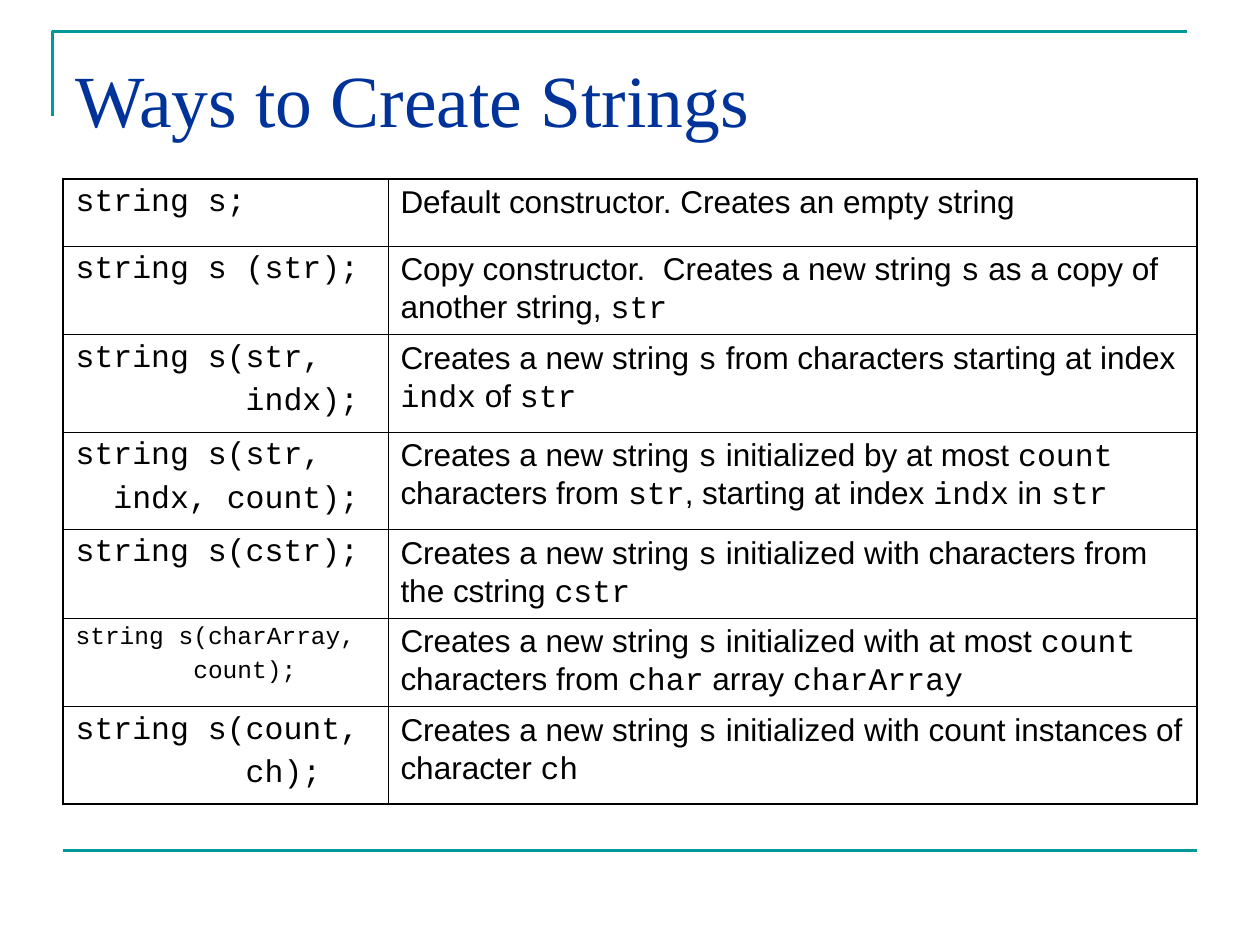
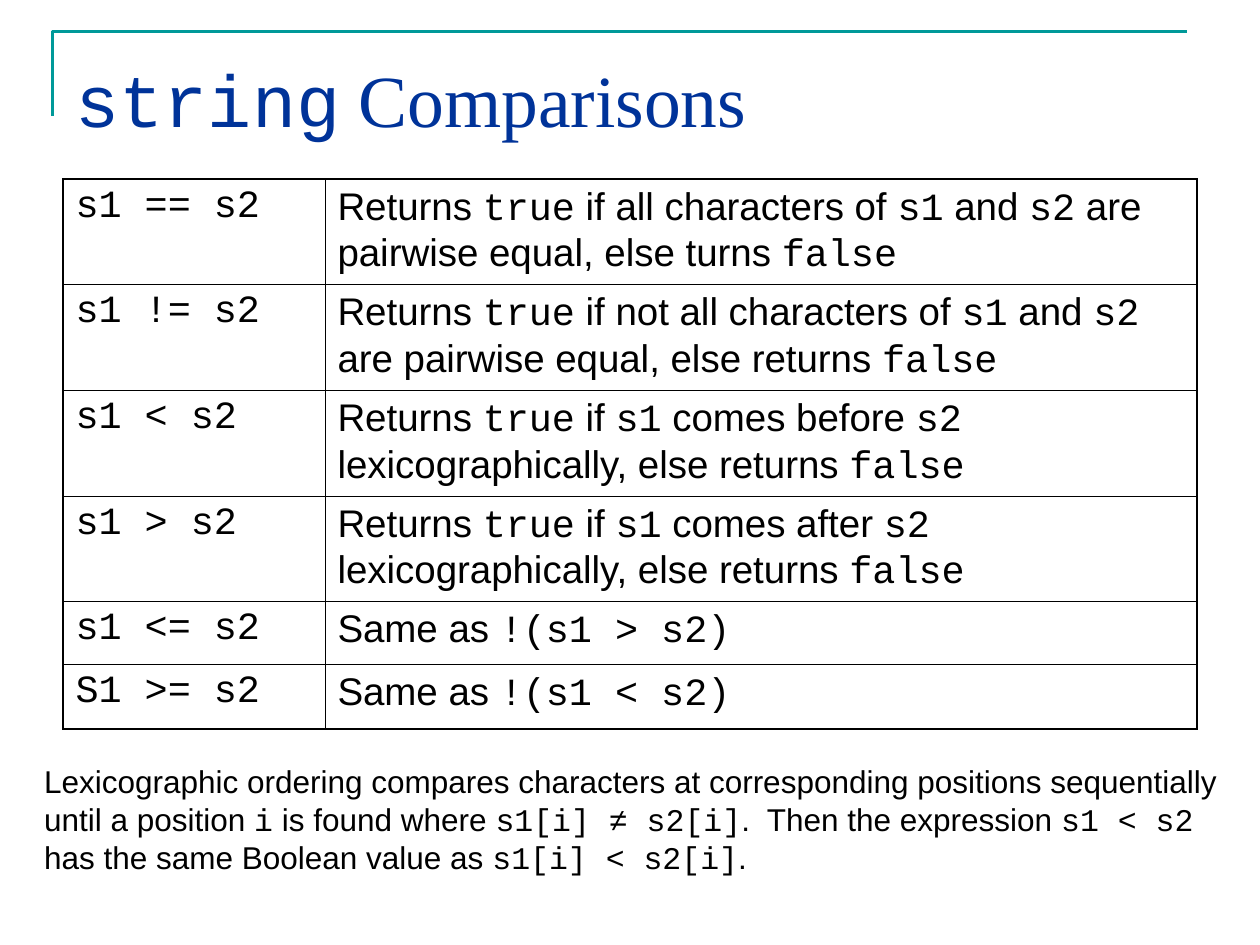
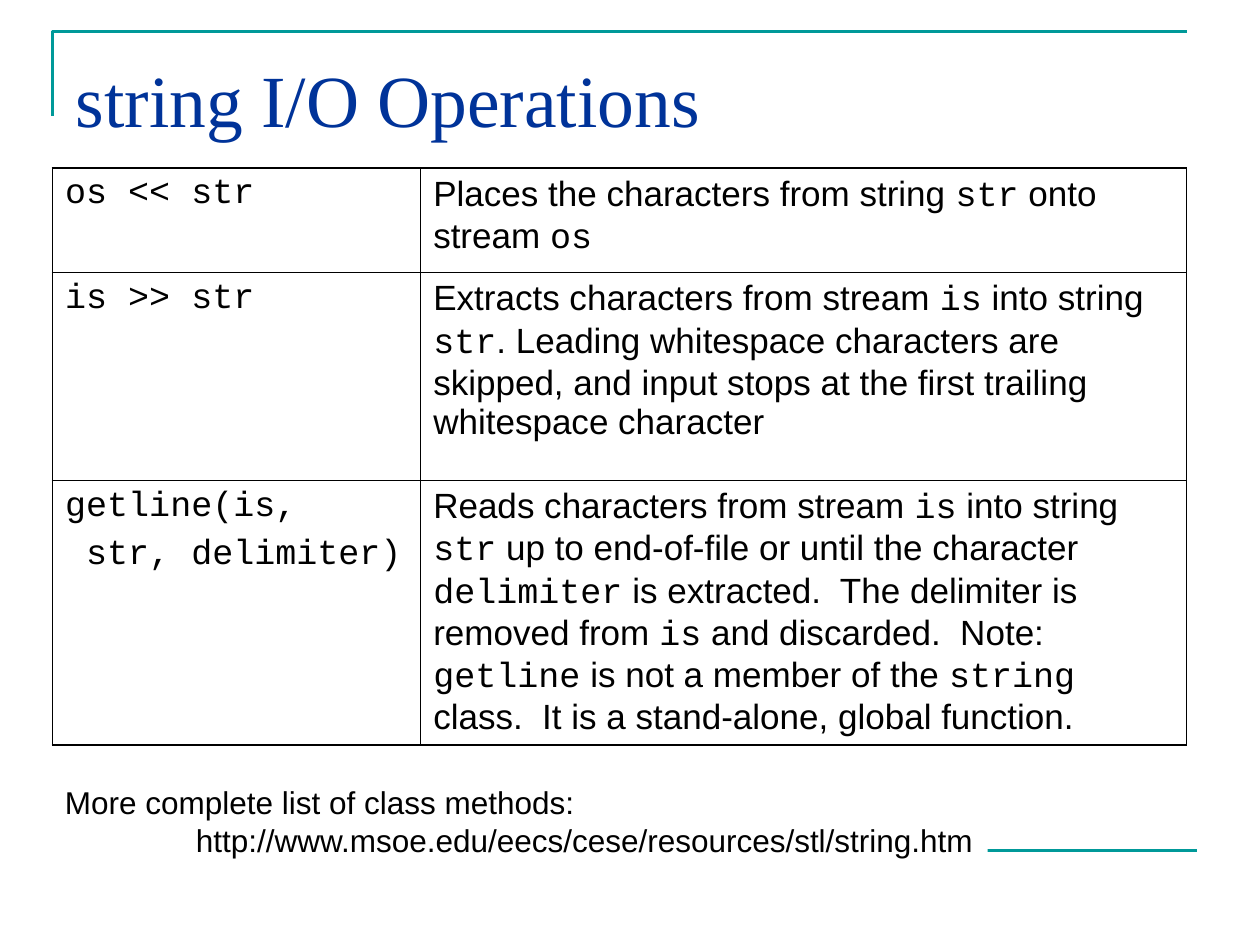
from dataclasses import dataclass

from lxml.etree import SubElement
from pptx import Presentation
from pptx.dml.color import RGBColor
from pptx.enum.shapes import MSO_CONNECTOR as CONN, MSO_SHAPE as SHAPE
from pptx.enum.text import MSO_ANCHOR as ANCHOR, MSO_AUTO_SIZE as AUTO, PP_ALIGN as ALIGN
from pptx.oxml.ns import qn
from pptx.util import Cm, Pt

TEAL = RGBColor(0x00, 0x99, 0x99)
NAVY = RGBColor(0x00, 0x33, 0x99)
BLACK = RGBColor(0x00, 0x00, 0x00)
WHITE = RGBColor(0xFF, 0xFF, 0xFF)

BODY = "Arial"
CODE = "Courier New"
SERIF = "Times New Roman"

CONTENT_W = 22.86
TITLE_SIZE = 42
NOTE_SIZE = 18
OUTER = Pt(1.08)
INNER = Pt(0.45)


@dataclass
class Row:
    height: float
    code: str
    text: str
    code_size: int = 0


@dataclass
class Grid:
    left: float
    top: float
    code_width: float
    size: int
    rows: list[Row]


@dataclass
class Note:
    left: float
    top: float
    width: float
    height: float
    lines: list[str]
    indent: float = 0


@dataclass
class Page:
    title: str
    grid: Grid
    note: Note | None = None
    footer_line: bool = True


PAGES = [
    Page(
        "Ways to Create Strings",
        Grid(1.27, 3.61, 6.55, 18, [
            Row(1.35, "string s;", "Default constructor. Creates an empty string"),
            Row(1.78, "string s (str);",
                "Copy constructor.  Creates a new string `s` as a copy of another string, `str`"),
            Row(1.96, "string s(str,\n         indx);",
                "Creates a new string `s` from characters starting at index `indx` of `str`"),
            Row(1.96, "string s(str,\n  indx, count);",
                "Creates a new string `s` initialized by at most `count` characters from `str`, "
                "starting at index `indx` in `str`"),
            Row(1.78, "string s(cstr);",
                "Creates a new string `s` initialized with characters from the cstring `cstr`"),
            Row(1.78, "string s(charArray,\n        count);",
                "Creates a new string `s` initialized with at most `count` characters from "
                "`char` array `charArray`", 14),
            Row(1.96, "string s(count,\n         ch);",
                "Creates a new string `s` initialized with count instances of character `ch`"),
        ]),
    ),
    Page(
        "`string` Comparisons",
        Grid(1.27, 3.61, 5.28, 22, [
            Row(2.13, "s1 == s2",
                "Returns `true` if all characters of `s1` and `s2` are pairwise equal, "
                "else turns `false`"),
            Row(2.13, "s1 != s2",
                "Returns `true` if not all characters of `s1` and `s2` are pairwise equal, "
                "else returns `false`"),
            Row(2.13, "s1 < s2",
                "Returns `true` if `s1` comes before `s2` lexicographically, else returns `false`"),
            Row(2.13, "s1 > s2",
                "Returns `true` if `s1` comes after `s2` lexicographically, else returns `false`"),
            Row(1.27, "s1 <= s2", "Same as `!(s1 > s2)`"),
            Row(1.3, "S1 >= s2", "Same as `!(s1 < s2)`"),
        ]),
        Note(0.64, 15.24, 24.16, 2.54, [
            "Lexicographic ordering compares characters at corresponding positions sequentially",
            "until a position `i` is found where `s1[i] ≠ s2[i]`.  Then the expression `s1 < s2`",
            "has the same Boolean value as `s1[i] < s2[i]`.",
        ]),
        footer_line=False,
    ),
    Page(
        "string I/O Operations",
        Grid(1.06, 3.39, 7.42, 20, [
            Row(2.11, "os << str", "Places the characters from string `str` onto stream `os`"),
            Row(4.19, "is >> str",
                "Extracts characters from stream `is` into string `str`. Leading whitespace "
                "characters are skipped, and input stops at the first trailing whitespace "
                "character"),
            Row(5.33, "getline(is,\n str, delimiter)",
                "Reads characters from stream `is` into string `str` up to end-of-file or until "
                "the character `delimiter` is extracted.  The delimiter is removed from `is` and "
                "discarded.  Note: `getline` is not a member of the `string` class.  It is a "
                "stand-alone, global function."),
        ]),
        Note(1.06, 15.66, 18.85, 1.78, [
            "More complete list of class methods:",
            "http://www.msoe.edu/eecs/cese/resources/stl/string.htm",
        ], 2.64),
    ),
]


def add_runs(p, text: str, size: int, font: str = BODY, color: RGBColor = BLACK) -> None:
    p.alignment = ALIGN.LEFT
    for i, part in enumerate(text.split("`")):
        if part:
            r = p.add_run()
            r.text = part
            r.font.name = CODE if i % 2 else font
            r.font.size = Pt(size)
            r.font.color.rgb = color


def add_lines(tf, lines: list[str], size: int, gap: float = 0, indent: float = 0) -> None:
    for i, line in enumerate(lines):
        p = tf.add_paragraph() if i else tf.paragraphs[0]
        if i:
            p.space_before = Pt(gap)
            if indent:
                p._p.get_or_add_pPr().set("marL", str(Cm(indent)))
        add_runs(p, line, size)


def add_frame(slide, footer_line: bool) -> None:
    fb = slide.shapes.build_freeform(Cm(1.06), Cm(2.33))
    fb.add_line_segments([(Cm(1.06), Cm(0.64)), (Cm(23.92), Cm(0.64))], close=False)
    corner = fb.convert_to_shape()
    corner.shadow.inherit = False
    corner.fill.background()
    lines = [corner]
    if footer_line:
        rule = slide.shapes.add_connector(
            CONN.STRAIGHT, Cm(1.27), Cm(17.15), Cm(1.27 + CONTENT_W), Cm(17.15))
        SubElement(rule._element.spPr, qn("a:effectLst"))
        lines.append(rule)
    for sp in lines:
        sp.line.color.rgb = TEAL
        sp.line.width = Pt(1.5)


def set_title(slide, text: str) -> None:
    sp = slide.shapes.title
    sp.left, sp.top, sp.width, sp.height = Cm(1.27), Cm(0.76), Cm(CONTENT_W), Cm(3.18)
    tf = sp.text_frame
    tf.auto_size = AUTO.NONE
    tf.vertical_anchor = ANCHOR.TOP
    tf.margin_top = Cm(0.33)
    add_runs(tf.paragraphs[0], text, TITLE_SIZE, SERIF, NAVY)


def set_borders(cell, widths: dict[str, int]) -> None:
    tc_pr = cell._tc.get_or_add_tcPr()
    for side, width in widths.items():
        ln = SubElement(tc_pr, qn(f"a:{side}"), w=str(width))
        SubElement(SubElement(ln, qn("a:solidFill")), qn("a:srgbClr"), val=str(BLACK))


def add_grid(slide, grid: Grid) -> None:
    last = len(grid.rows) - 1
    height = sum(row.height for row in grid.rows)
    table = slide.shapes.add_table(
        last + 1, 2, Cm(grid.left), Cm(grid.top), Cm(CONTENT_W), Cm(height)).table
    table.first_row = table.horz_banding = False
    table.columns[0].width = Cm(grid.code_width)
    table.columns[1].width = Cm(CONTENT_W - grid.code_width)
    for i, row in enumerate(grid.rows):
        table.rows[i].height = Cm(row.height)
        code_lines = [f"`{line}`" for line in row.code.split("\n")]
        columns = [(code_lines, row.code_size or grid.size), ([row.text], grid.size)]
        for j, (lines, size) in enumerate(columns):
            cell = table.cell(i, j)
            set_borders(cell, {
                "lnL": INNER if j else OUTER,
                "lnR": OUTER if j else INNER,
                "lnT": INNER if i else OUTER,
                "lnB": OUTER if i == last else INNER,
            })
            cell.fill.solid()
            cell.fill.fore_color.rgb = WHITE
            add_lines(cell.text_frame, lines, size, gap=size / 4)


def add_note(slide, note: Note) -> None:
    sp = slide.shapes.add_shape(
        SHAPE.RECTANGLE, Cm(note.left), Cm(note.top), Cm(note.width), Cm(note.height))
    sp.shadow.inherit = False
    sp.fill.solid()
    sp.fill.fore_color.rgb = WHITE
    sp.line.fill.background()
    tf = sp.text_frame
    tf.word_wrap = False
    tf.auto_size = AUTO.SHAPE_TO_FIT_TEXT
    tf.vertical_anchor = ANCHOR.TOP
    add_lines(tf, note.lines, NOTE_SIZE, indent=note.indent)


def main() -> None:
    prs = Presentation()
    prs.slide_width, prs.slide_height = Cm(25.4), Cm(19.05)
    for page in PAGES:
        slide = prs.slides.add_slide(prs.slide_layouts[5])
        add_frame(slide, page.footer_line)
        set_title(slide, page.title)
        add_grid(slide, page.grid)
        if page.note:
            add_note(slide, page.note)
    prs.save("out.pptx")


if __name__ == "__main__":
    main()
